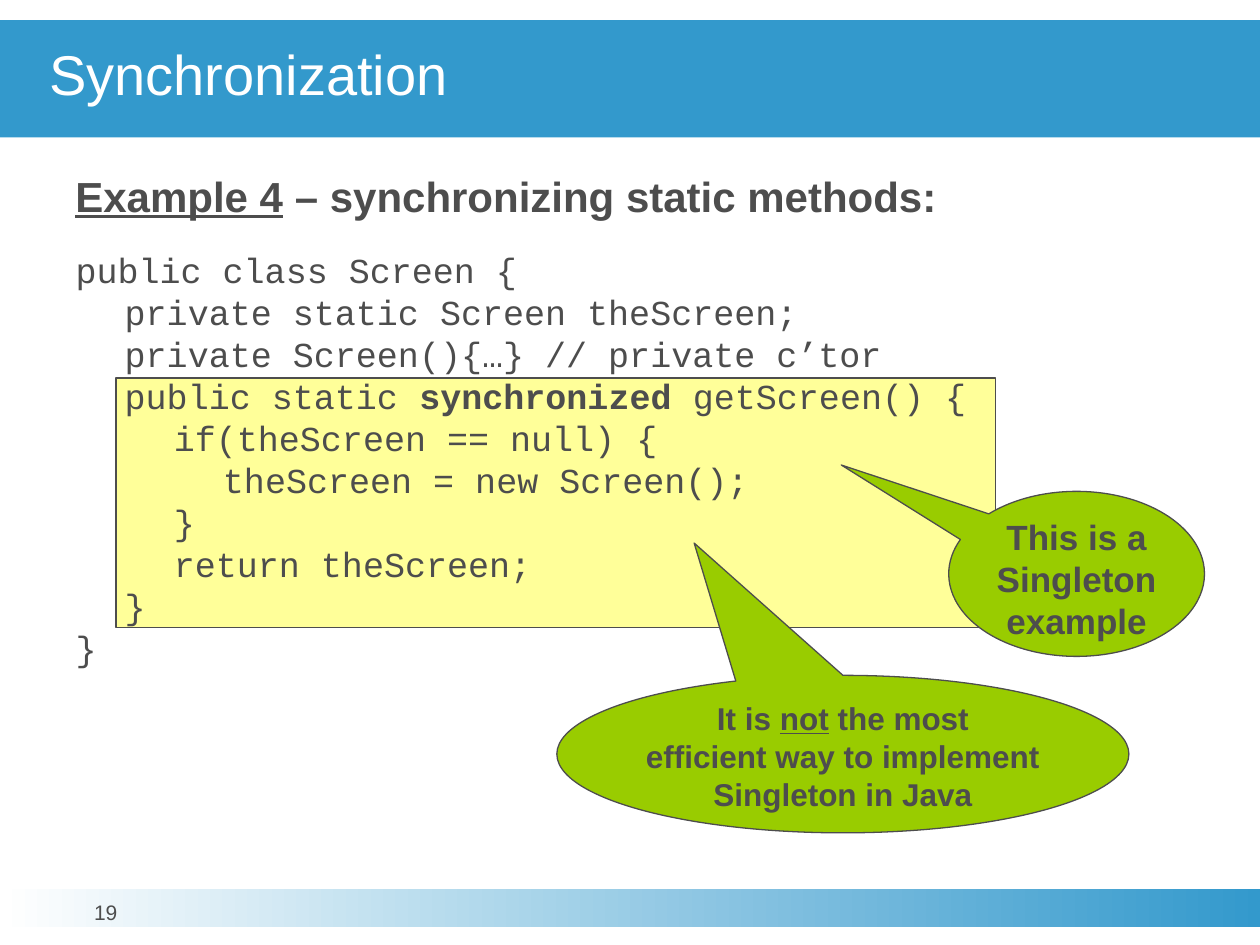
from pptx import Presentation
from pptx.dml.color import RGBColor
from pptx.enum.shapes import MSO_SHAPE
from pptx.enum.text import MSO_ANCHOR, PP_ALIGN
from pptx.util import Inches, Pt

RECTANGLE = MSO_SHAPE.RECTANGLE
CALLOUT = MSO_SHAPE.OVAL_CALLOUT
TOP, MIDDLE = MSO_ANCHOR.TOP, MSO_ANCHOR.MIDDLE
LEFT, CENTER = PP_ALIGN.LEFT, PP_ALIGN.CENTER

COLORS = {"blue": "3399CC", "white": "FFFFFF", "gray": "4D4D4D",
          "yellow": "FFFF99", "green": "99CC00"}
TITLE = "Synchronization"
PAGE_NUMBER = "19"
HEADING = [("Example 4", "bu"), (" – synchronizing static methods:", "b")]
CODE = [
    (0, [("public class Screen {", "")]),
    (1, [("private static Screen theScreen;", "")]),
    (1, [("private Screen(){…} // private c’tor", "")]),
    (1, [("public static ", ""), ("synchronized", "b"), (" getScreen() {", "")]),
    (2, [("if(theScreen == null) {", "")]),
    (3, [("theScreen = new Screen();", "")]),
    (2, [("}", "")]),
    (2, [("return theScreen;", "")]),
    (1, [("}", "")]),
    (0, [("}", "")]),
]
CALLOUTS = [
    ((7.53, 3.9, 2.03, 1.31), (-0.92, -0.66), 20, 24,
     [("This is a Singleton example", "b")]),
    ((4.42, 5.36, 4.54, 1.25), (-0.26, -1.34), 18, 21.7,
     [("It is ", "b"), ("not", "bu"), (" the most", "b"), None,
      ("efficient way to implement Singleton in Java", "b")]),
]
INDENT = 0.39


def color(name):
    return RGBColor.from_string(COLORS[name])


def add_runs(paragraph, parts, size, font="Arial", ink="gray"):
    for part in parts:
        if part is None:
            paragraph.add_line_break()
            continue
        text, style = part
        run = paragraph.add_run()
        run.text = text
        run.font.name = font
        run.font.size = Pt(size)
        run.font.bold = "b" in style
        run.font.underline = "u" in style
        run.font.color.rgb = color(ink)


def set_frame(shape, anchor=TOP, margins=(0, 0)):
    frame = shape.text_frame
    frame.word_wrap = True
    frame.vertical_anchor = anchor
    frame.margin_left = frame.margin_right = Inches(margins[0])
    frame.margin_top = frame.margin_bottom = Inches(margins[1])
    return frame


def add_text_box(slide, box, margins=(0, 0)):
    return set_frame(slide.shapes.add_textbox(*map(Inches, box)), margins=margins)


def add_filled(slide, kind, box, fill, outlined=True):
    shape = slide.shapes.add_shape(kind, *map(Inches, box))
    shape.shadow.inherit = False
    shape.fill.solid()
    shape.fill.fore_color.rgb = color(fill)
    if outlined:
        shape.line.color.rgb = color("gray")
        shape.line.width = Pt(0.75)
    else:
        shape.line.fill.background()
    return shape


presentation = Presentation()
presentation.slide_width, presentation.slide_height = Inches(10), Inches(7.5)
slide = presentation.slides.add_slide(presentation.slide_layouts[5])

title = slide.shapes.title
title.left, title.top, title.width, title.height = map(Inches, (0, 0.16, 10, 0.93))
title.fill.solid()
title.fill.fore_color.rgb = color("blue")
paragraph = set_frame(title, MIDDLE).paragraphs[0]
paragraph.alignment = LEFT
paragraph.line_spacing = 0.85
paragraph._p.get_or_add_pPr().set("marL", str(Inches(INDENT)))
add_runs(paragraph, [(TITLE, "")], 32, ink="white")

footer = add_filled(slide, RECTANGLE, (0, 7.06, 10, 0.3), "blue", outlined=False)
footer.fill.gradient()
footer.fill.gradient_angle = 0
for stop, position, name in zip(footer.fill.gradient_stops, (0, 1), ("white", "blue")):
    stop.position = position
    stop.color.rgb = color(name)

paragraph = add_text_box(slide, (0.31, 7.16, 1.06, 0.31)).paragraphs[0]
paragraph.alignment = CENTER
paragraph.line_spacing = Pt(13)
add_runs(paragraph, [(PAGE_NUMBER, "")], 12)

add_filled(slide, RECTANGLE, (0.92, 3, 6.98, 1.98), "yellow")

code_frame = add_text_box(slide, (0.6, 1.97, 8.53, 3.34))
for index, (level, parts) in enumerate(CODE):
    paragraph = code_frame.add_paragraph() if index else code_frame.paragraphs[0]
    paragraph.line_spacing = Pt(24)
    paragraph._p.get_or_add_pPr().set("marL", str(Inches(INDENT * level)))
    add_runs(paragraph, parts, 20, "Courier New")

heading = add_text_box(slide, (0.5, 1.3, 9, 0.52), (0.1, 0.05))
add_runs(heading.paragraphs[0], HEADING, 24)

for box, pointer, size, spacing, parts in CALLOUTS:
    callout = add_filled(slide, CALLOUT, box, "green")
    for index, value in enumerate(pointer):
        callout.adjustments[index] = value
    paragraph = set_frame(callout).paragraphs[0]
    paragraph.alignment = CENTER
    paragraph.line_spacing = Pt(spacing)
    add_runs(paragraph, parts, size)

presentation.save("out.pptx")
